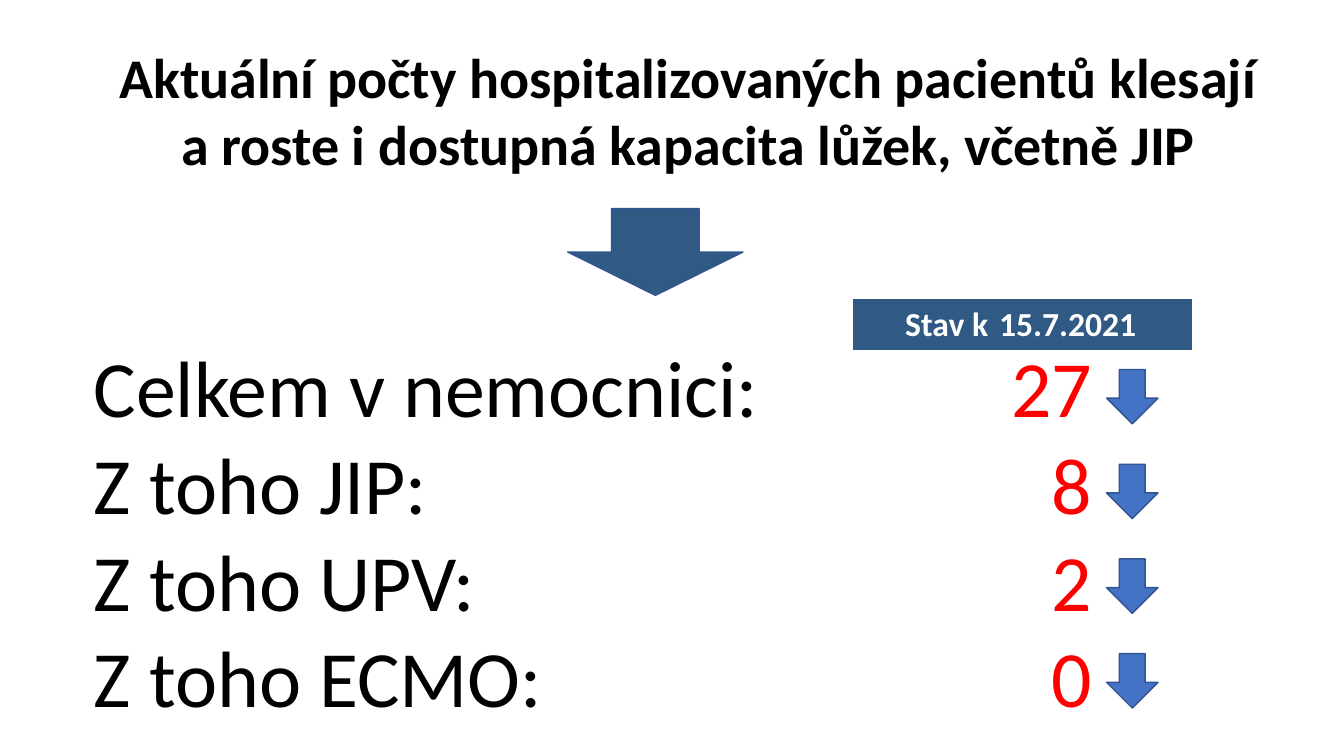
from pptx import Presentation
from pptx.dml.color import RGBColor
from pptx.enum.shapes import MSO_SHAPE as Shape
from pptx.enum.text import MSO_ANCHOR as Anchor, PP_ALIGN as Align
from pptx.oxml.ns import qn
from pptx.util import Inches, Pt

WIDTH, HEIGHT = Inches(13.33), Inches(7.5)
NAVY, BLUE, EDGE = "305983", "4472C4", "325491"
BLACK, WHITE, RED = "000000", "FFFFFF", "FF0000"
PLAIN_STYLE = "{2D5ABB26-0587-4C30-8999-92F81FD0307C}"
TIGHT = [Inches(0.01)] * 3 + [0]
NORMAL = [Inches(0.1), Inches(0.05), Inches(0.1), Inches(0.05)]
COUNTS = [
    ("Celkem v nemocnici:", "27"),
    ("Z toho JIP:", "8"),
    ("Z toho UPV:", "2"),
    ("Z toho ECMO:", "0"),
]


def across(percent):
    """Return a share of the slide width."""
    return round(WIDTH * percent / 100)


def down(percent):
    """Return a share of the slide height."""
    return round(HEIGHT * percent / 100)


def area(left, top, width, height):
    """Turn percentages of the slide into a position and a size."""
    return across(left), down(top), across(width), down(height)


def color(code):
    """Turn a hex string into a colour."""
    return RGBColor.from_string(code)


def write(frame, text, size=24, ink=BLACK, bold=False, align=Align.LEFT):
    """Write one formatted paragraph into a text frame."""
    frame.word_wrap = True
    para = frame.paragraphs[0]
    para.text = text
    para.alignment = align
    for span in para.runs:
        span.font.name = "Calibri"
        span.font.size = Pt(size)
        span.font.bold = bold
        span.font.color.rgb = color(ink)


def add_title(page, text, place):
    """Add the centred headline."""
    box = page.shapes.add_textbox(*place)
    write(box.text_frame, text, size=40, bold=True, align=Align.CENTER)


def add_arrow(page, kind, place, fill, rotation=0):
    """Add an outlined block arrow."""
    arrow = page.shapes.add_shape(kind, *place)
    arrow.rotation = rotation
    arrow.shadow.inherit = False
    arrow.fill.solid()
    arrow.fill.fore_color.rgb = color(fill)
    arrow.line.color.rgb = color(EDGE)
    arrow.line.width = Pt(1)


def add_grid(page, left, top, widths, height, rows):
    """Add an unstyled table with equal rows and return it."""
    place = area(left, top, sum(widths), height * rows)
    table = page.shapes.add_table(rows, len(widths), *place).table
    table.first_row = table.horz_banding = False
    table._tbl.tblPr.find(qn("a:tableStyleId")).text = PLAIN_STYLE
    for column, width in zip(table.columns, widths):
        column.width = across(width)
    return table


def fill_cell(cell, text, fill=None, anchor=Anchor.BOTTOM, insets=TIGHT, **style):
    """Write a table cell with its fill, anchor and margins."""
    cell.margin_left, cell.margin_top, cell.margin_right, cell.margin_bottom = insets
    cell.vertical_anchor = anchor
    if fill:
        cell.fill.solid()
        cell.fill.fore_color.rgb = color(fill)
    else:
        cell.fill.background()
    write(cell.text_frame, text, **style)


def add_counts(page):
    """Add the patient counts, each with its falling arrow."""
    table = add_grid(page, 6.9, 45.07, [58.89, 15.53], 11.6, len(COUNTS))
    for row, (label, count) in enumerate(COUNTS):
        fill_cell(table.cell(row, 0), label, size=57)
        fill_cell(table.cell(row, 1), count, size=57, ink=RED, align=Align.RIGHT)
        place = area(82.22, 49.07 + 12.53 * row, 4.05, 6.8)
        add_arrow(page, Shape.RIGHT_ARROW, place, BLUE, rotation=90)


def add_date(page):
    """Add the date band above the counts."""
    table = add_grid(page, 63.47, 39.6, [10.8, 14.4], 5.47, 1)
    style = {"fill": NAVY, "ink": WHITE, "bold": True}
    fill_cell(table.cell(0, 0), "Stav k", anchor=Anchor.TOP, insets=NORMAL,
              align=Align.RIGHT, **style)
    fill_cell(table.cell(0, 1), "15.7.2021", anchor=Anchor.MIDDLE, **style)


def main():
    """Build the slide and save the deck."""
    deck = Presentation()
    deck.slide_width, deck.slide_height = WIDTH, HEIGHT
    page = deck.slides.add_slide(deck.slide_layouts[6])
    add_title(
        page,
        "Aktuální počty hospitalizovaných pacientů klesají\n"
        "a roste i dostupná kapacita lůžek, včetně JIP".replace("\n", "\v"),
        area(5.55, 4.93, 91.3, 19.33),
    )
    add_arrow(page, Shape.DOWN_ARROW, area(42.24, 27.6, 13.05, 11.47), NAVY)
    add_counts(page)
    add_date(page)
    deck.save("out.pptx")


if __name__ == "__main__":
    main()
